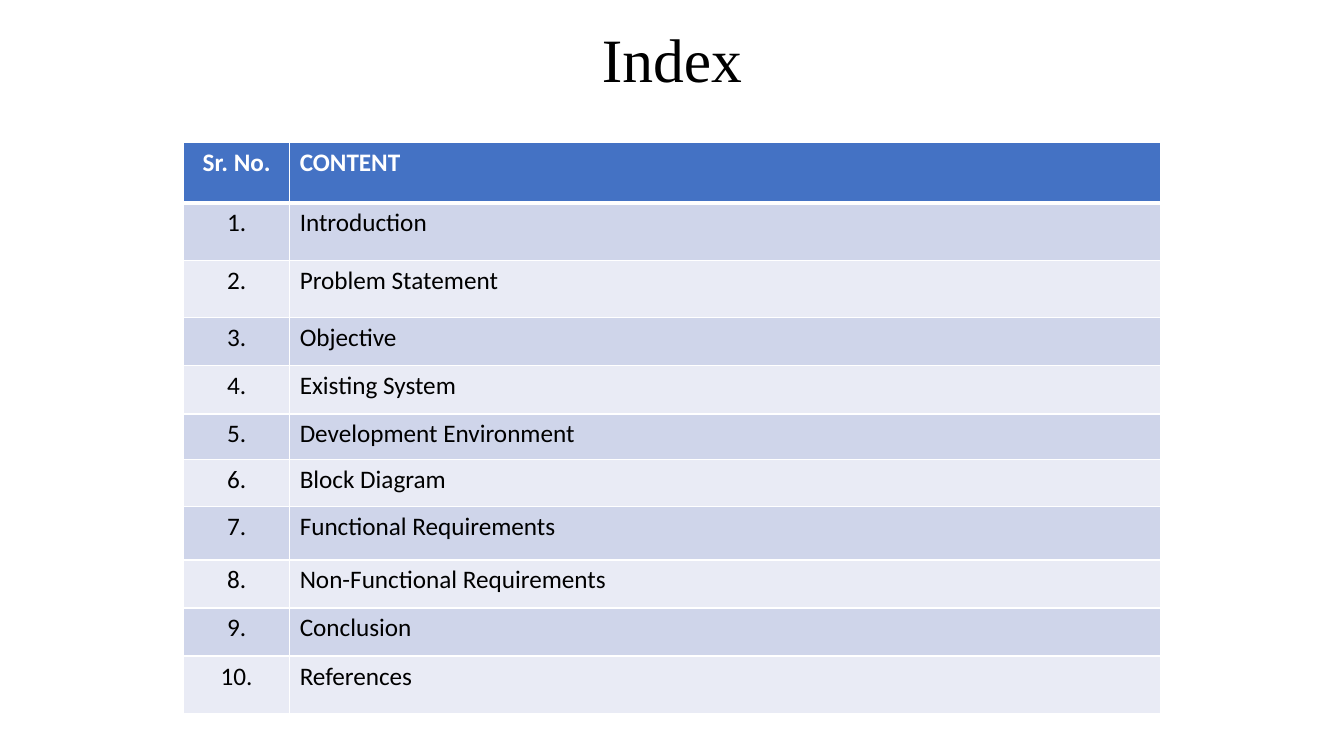
"""Builds the index slide: a title above a numbered table of contents."""
from lxml import etree
from pptx import Presentation
from pptx.dml.color import RGBColor
from pptx.enum.text import MSO_ANCHOR, PP_ALIGN
from pptx.oxml.ns import qn
from pptx.util import Cm, Pt

CENTER, LEFT = PP_ALIGN.CENTER, PP_ALIGN.LEFT
MIDDLE = MSO_ANCHOR.MIDDLE
BLACK = RGBColor(0x00, 0x00, 0x00)
WHITE = RGBColor(0xFF, 0xFF, 0xFF)
HEADER_BLUE = RGBColor(0x44, 0x72, 0xC4)
BANDS = [RGBColor(0xE9, 0xEB, 0xF5), RGBColor(0xCF, 0xD5, 0xEA)]

TOPICS = [
    "Introduction", "Problem Statement", "Objective", "Existing System",
    "Development Environment", "Block Diagram", "Functional Requirements",
    "Non-Functional Requirements", "Conclusion", "References",
]
COLUMN_WIDTHS = [2.67, 21.96]
ROW_HEIGHTS = [1.52, 1.45, 1.45, 1.21, 1.21, 1.14, 1.19, 1.35, 1.21, 1.21, 1.44]


def add_border(cell, side, width):
    """Draw one white border of a cell."""
    line = etree.SubElement(cell._tc.get_or_add_tcPr(), qn(f"a:{side}"), w=str(Pt(width)))
    fill = etree.SubElement(line, qn("a:solidFill"))
    etree.SubElement(fill, qn("a:srgbClr"), val=str(WHITE))


prs = Presentation()
prs.slide_width, prs.slide_height = Cm(33.87), Cm(19.05)
s = prs.slides.add_slide(prs.slide_layouts[6])

title = s.shapes.add_textbox(0, Cm(0.58), prs.slide_width, Cm(2))
tf = title.text_frame
tf.word_wrap = True
tf.vertical_anchor = MIDDLE
p = tf.paragraphs[0]
p.text = "Index"
p.alignment = CENTER
p.line_spacing = 0.9
p.font.name = "Times New Roman"
p.font.size = Pt(44)
p.font.color.rgb = BLACK

rows = [("Sr. No.", "CONTENT")]
rows += [(f"{number}.", topic) for number, topic in enumerate(TOPICS, 1)]
table = s.shapes.add_table(
    len(rows), len(COLUMN_WIDTHS), Cm(4.63), Cm(3.59),
    Cm(sum(COLUMN_WIDTHS)), Cm(sum(ROW_HEIGHTS))).table
for column, width in zip(table.columns, COLUMN_WIDTHS):
    column.width = Cm(width)
for row, height in zip(table.rows, ROW_HEIGHTS):
    row.height = Cm(height)

for i, texts in enumerate(rows):
    header = i == 0
    borders = {"lnL": 1, "lnR": 1, "lnT": 3 if i == 1 else 1, "lnB": 3 if header else 1}
    for j, text in enumerate(texts):
        cell = table.cell(i, j)
        for side, width in borders.items():
            add_border(cell, side, width)
        cell.fill.solid()
        cell.fill.fore_color.rgb = HEADER_BLUE if header else BANDS[i % 2]
        p = cell.text_frame.paragraphs[0]
        p.text = text
        p.alignment = CENTER if j == 0 else LEFT
        p.font.name = "Calibri"
        p.font.size = Pt(18)
        p.font.bold = header
        p.font.color.rgb = WHITE if header else BLACK

prs.save("out.pptx")
